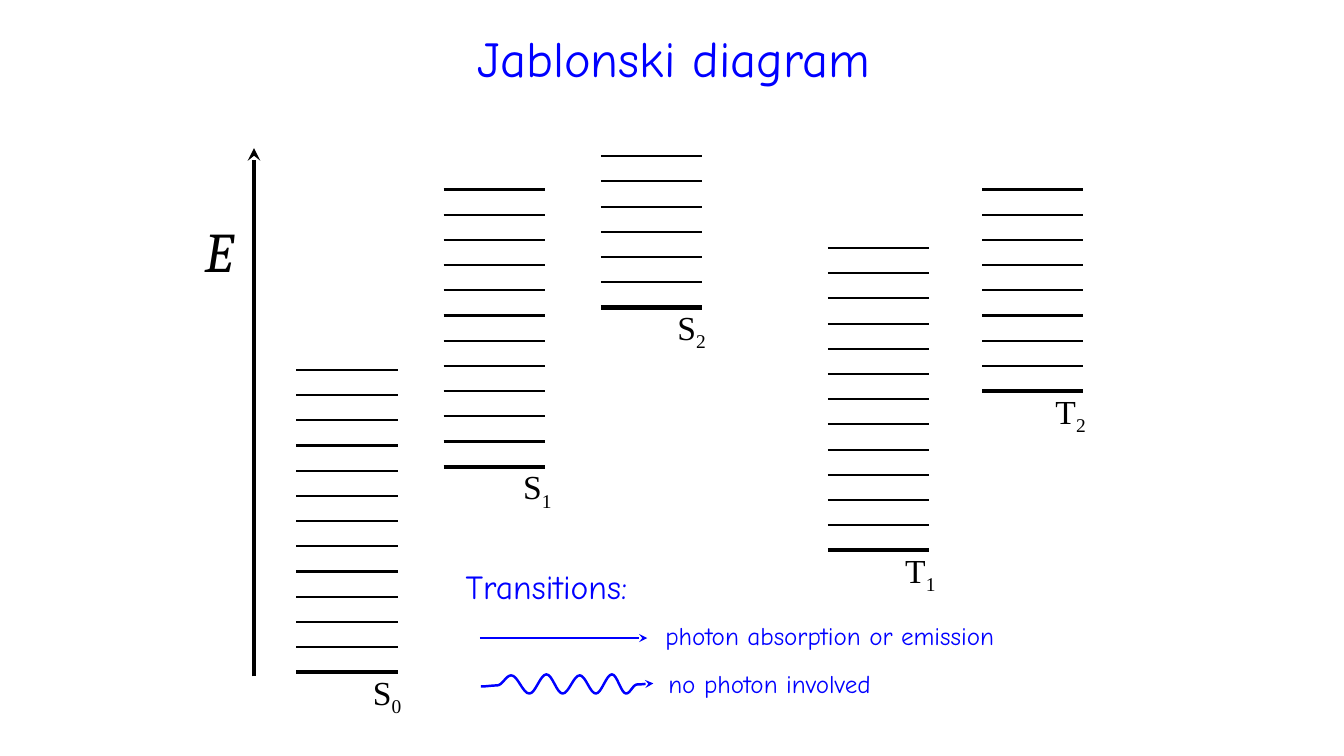
"""Build a Jablonski diagram slide with level ladders and a transition legend."""
from math import cos, pi

from lxml import etree
from pptx import Presentation
from pptx.dml.color import RGBColor
from pptx.enum.shapes import MSO_CONNECTOR
from pptx.enum.text import MSO_AUTO_SIZE, PP_ALIGN
from pptx.oxml.ns import qn
from pptx.util import Inches, Pt

STRAIGHT = MSO_CONNECTOR.STRAIGHT
GROW = MSO_AUTO_SIZE.SHAPE_TO_FIT_TEXT
CENTER = PP_ALIGN.CENTER
TITLE_ONLY = 5
CELL = 0.25

COLORS = {"ink": "000000", "accent": "0000FF"}
HEAD_FONT, SYMBOL_FONT, STATE_FONT = "Comic Neue", "Cambria", "Times New Roman"

LEVEL_WIDTH = 4.02
LADDERS = [
    ("S", "0", 11.76, 26.68, 13, 14.4),
    ("S", "1", 17.6, 18.52, 12, 20.36),
    ("S", "2", 23.84, 12.2, 7, 26.48),
    ("T", "1", 32.84, 21.84, 13, 35.52),
    ("T", "2", 38.96, 15.52, 9, 41.48),
]
WAVE = [
    (19.08, 27.24), (19.72, 27.2), (20.28, 26.8), (21, 27.52),
    (21.68, 26.76), (22.32, 27.52), (23, 26.8), (23.64, 27.52),
    (24.28, 26.76), (24.84, 27.52), (25.28, 27.16), (25.92, 27.12),
]


def grid(n):
    return Inches(n * CELL)


def add_run(p, text, font=HEAD_FONT, size=18, color="accent", italic=None, baseline=None):
    r = p.add_run()
    r.text = text
    r.font.name = font
    r.font.size = Pt(size)
    r.font.italic = italic
    r.font.color.rgb = RGBColor.from_string(COLORS[color])
    if baseline is not None:
        r.font._element.set("baseline", str(baseline * 1000))


def ease(points, steps=8):
    curve = [points[0]]
    for (x0, y0), (x1, y1) in zip(points, points[1:]):
        for i in range(1, steps + 1):
            t = i / steps
            curve.append((x0 + (x1 - x0) * t, y0 + (y1 - y0) * (1 - cos(pi * t)) / 2))
    return curve


class Diagram:
    def __init__(self, prs):
        self.slide = prs.slides.add_slide(prs.slide_layouts[TITLE_ONLY])
        self.shapes = self.slide.shapes

    def place(self, sp, x, y, w, h):
        sp.left, sp.top, sp.width, sp.height = map(grid, (x, y, w, h))

    def title(self, text, x, y, w, h):
        sp = self.shapes.title
        self.place(sp, x, y, w, h)
        tf = sp.text_frame
        tf.auto_size = GROW
        p = tf.paragraphs[0]
        p.alignment = CENTER
        add_run(p, text, size=36)

    def label(self, text, x, y, w, h, sub=None, **style):
        tf = self.shapes.add_textbox(*map(grid, (x, y, w, h))).text_frame
        tf.word_wrap = False
        tf.auto_size = GROW
        p = tf.paragraphs[0]
        add_run(p, text, **style)
        if sub:
            add_run(p, sub, baseline=-25, **style)

    def stroke(self, sp, color, width, arrow):
        sp.line.color.rgb = RGBColor.from_string(COLORS[color])
        sp.line.width = Pt(width)
        spPr = sp._element.spPr
        if arrow:
            etree.SubElement(spPr.find(qn("a:ln")), qn("a:tailEnd"), type="stealth")
        etree.SubElement(spPr, qn("a:effectLst"))

    def line(self, x0, y0, x1, y1, color="ink", width=1.5, arrow=False):
        sp = self.shapes.add_connector(STRAIGHT, *map(grid, (x0, y0, x1, y1)))
        self.stroke(sp, color, width, arrow)

    def wave(self, points, color="accent", width=1.75):
        curve = [(grid(x), grid(y)) for x, y in ease(points)]
        fb = self.shapes.build_freeform(*curve[0])
        fb.add_line_segments(curve[1:], close=False)
        sp = fb.convert_to_shape()
        sp.fill.background()
        self.stroke(sp, color, width, True)

    def ladder(self, state, number, x, y, count, label_x):
        for i in range(count):
            self.line(x, y - i, x + LEVEL_WIDTH, y - i, width=1.5 if i else 3)
        self.label(state, label_x, y - 0.22, 2.04, 2.02, sub=number,
                   font=STATE_FONT, size=24, color="ink")


def main():
    prs = Presentation()
    prs.slide_width, prs.slide_height = Inches(13.33), Inches(7.5)
    d = Diagram(prs)
    d.title("Jablonski diagram", 7.76, 0.84, 37.92, 2.84)
    d.line(10.08, 26.84, 10.08, 5.88, width=3, arrow=True)
    d.label("E", 7.72, 8.4, 2.08, 3.08, font=SYMBOL_FONT, size=40, color="ink", italic=True)
    for ladder in LADDERS:
        d.ladder(*ladder)
    d.label("Transitions:", 18.08, 22.24, 8.28, 2.04, size=24)
    d.line(19.04, 25.32, 25.68, 25.32, color="accent", width=1.75, arrow=True)
    d.label("photon absorption or emission", 26, 24.44, 14.84, 1.6)
    d.wave(WAVE)
    d.label("no photon involved", 26.12, 26.32, 9.4, 1.6)
    prs.save("out.pptx")


if __name__ == "__main__":
    main()
